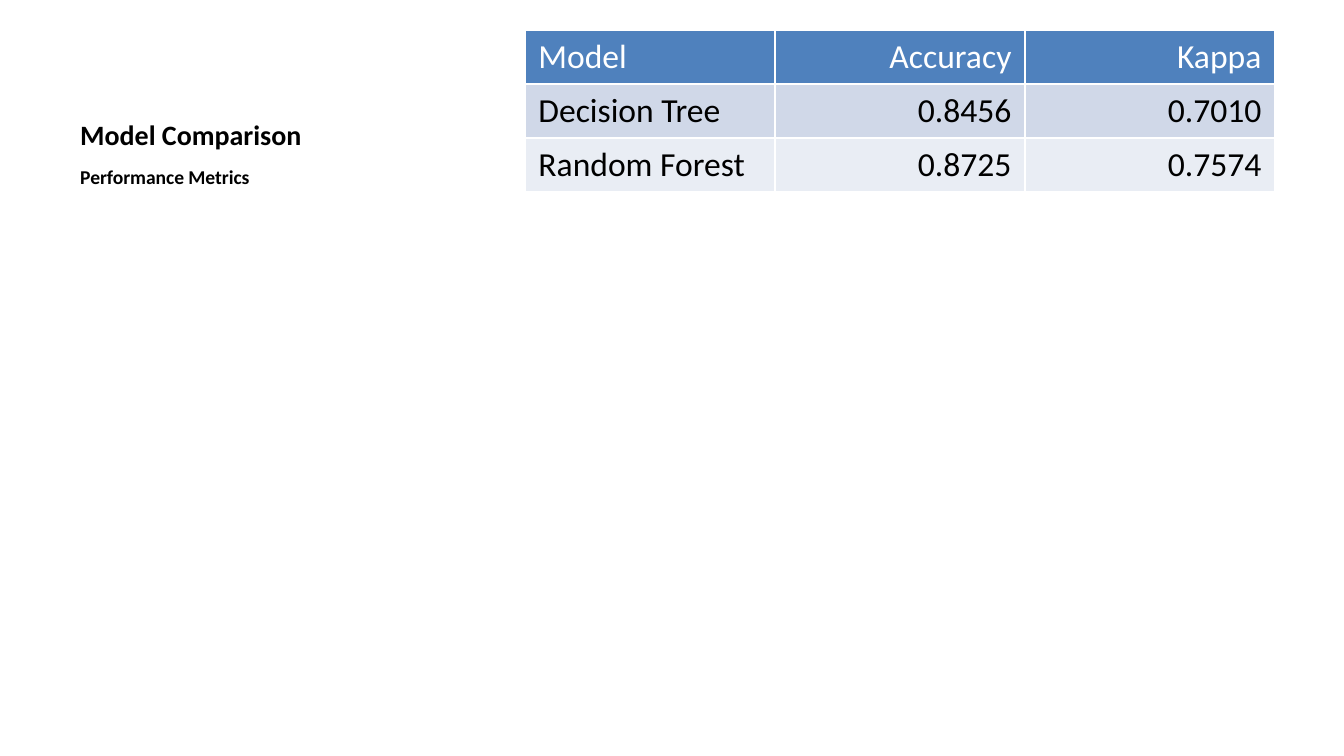
from pptx import Presentation
from pptx.dml.color import RGBColor
from pptx.enum.text import MSO_ANCHOR, PP_ALIGN
from pptx.util import Pt

PX = 914400 / 134.4
COLORS = {"ink": "000000", "white": "FFFFFF", "head": "4F81BD",
          "odd": "D0D8E8", "even": "E9EDF4"}


def px(*sizes):
    """Turn pixel lengths into EMU."""
    return [round(size * PX) for size in sizes]


def style(para, color, **formats):
    for name, value in formats.items():
        setattr(para.font, name, value)
    para.font.name = "Calibri"
    para.font.color.rgb = RGBColor.from_string(COLORS[color])


deck = Presentation()
deck.slide_width, deck.slide_height = px(1344, 756)
slide = deck.slides.add_slide(deck.slide_layouts[6])

# Title and subtitle on the left
texts = [
    ("Model Comparison", 30, 128, 15, MSO_ANCHOR.BOTTOM),
    ("Performance Metrics", 158, 517, 10.5, MSO_ANCHOR.TOP),
]
for text, top, height, size, anchor in texts:
    frame = slide.shapes.add_textbox(*px(67, top, 442, height)).text_frame
    frame.word_wrap = True
    frame.vertical_anchor = anchor
    frame.text = text
    style(frame.paragraphs[0], "ink", size=Pt(size), bold=True)

# Metrics table on the right
rows = [
    ("Model", "Accuracy", "Kappa"),
    ("Decision Tree", "0.8456", "0.7010"),
    ("Random Forest", "0.8725", "0.7574"),
]
looks = [("head", "white"), ("odd", "ink"), ("even", "ink")]
table = slide.shapes.add_table(3, 3, *px(525, 30, 750, 162)).table
for r, (values, (fill, color)) in enumerate(zip(rows, looks)):
    for c, value in enumerate(values):
        cell = table.cell(r, c)
        cell.fill.solid()
        cell.fill.fore_color.rgb = RGBColor.from_string(COLORS[fill])
        cell.text = value
        para = cell.text_frame.paragraphs[0]
        para.alignment = PP_ALIGN.RIGHT if c else PP_ALIGN.LEFT
        style(para, color, size=Pt(18), bold=False)

deck.save("out.pptx")
